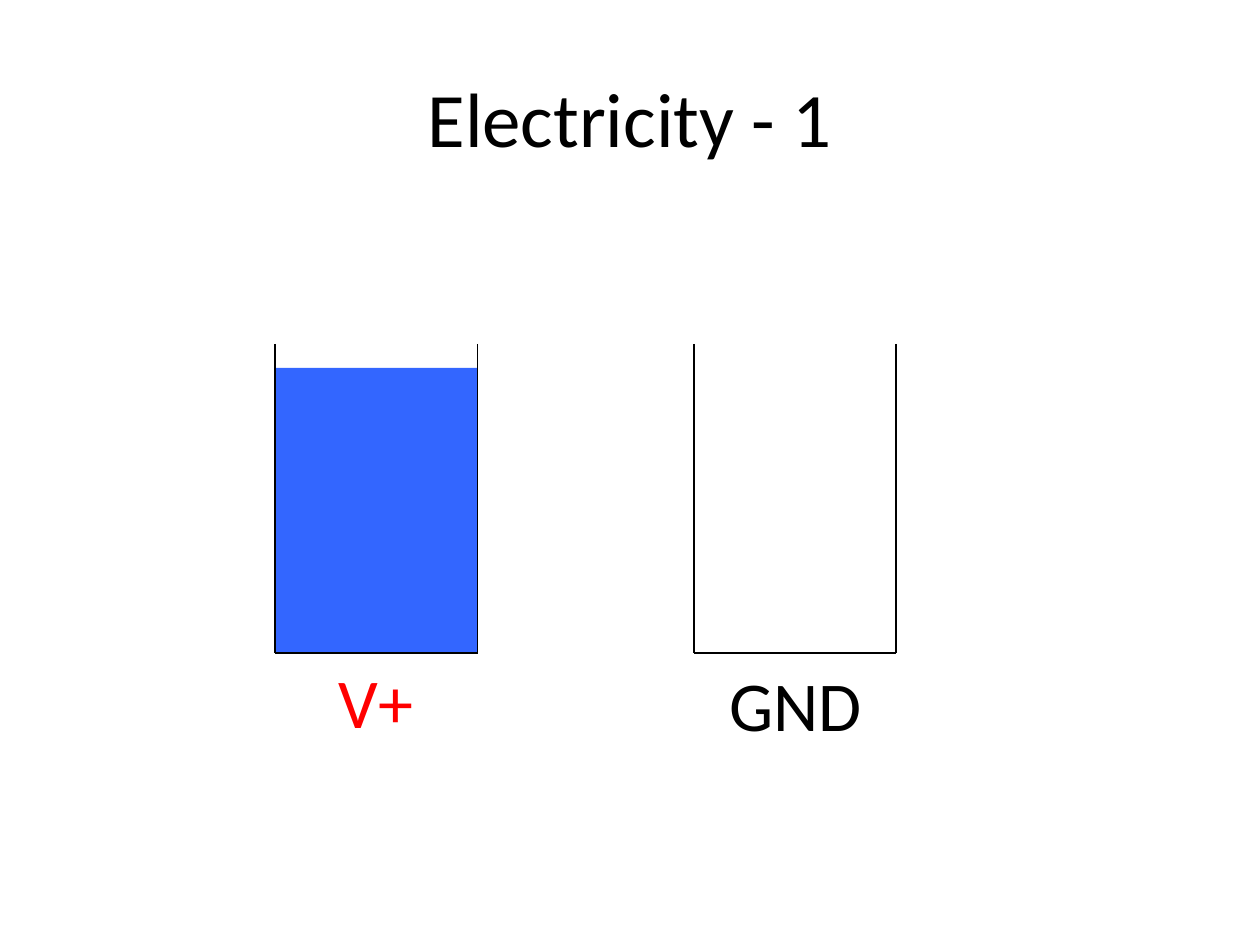
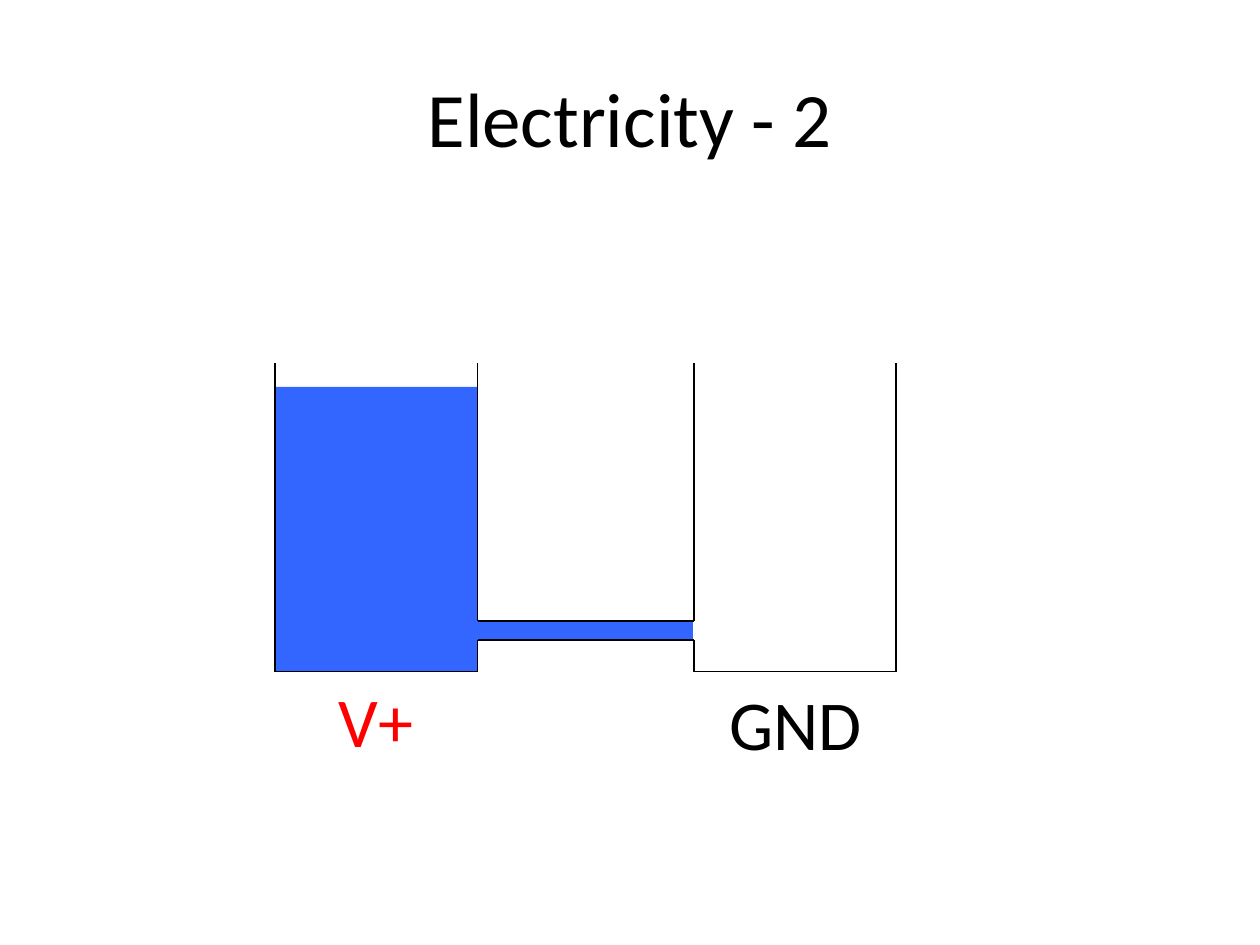
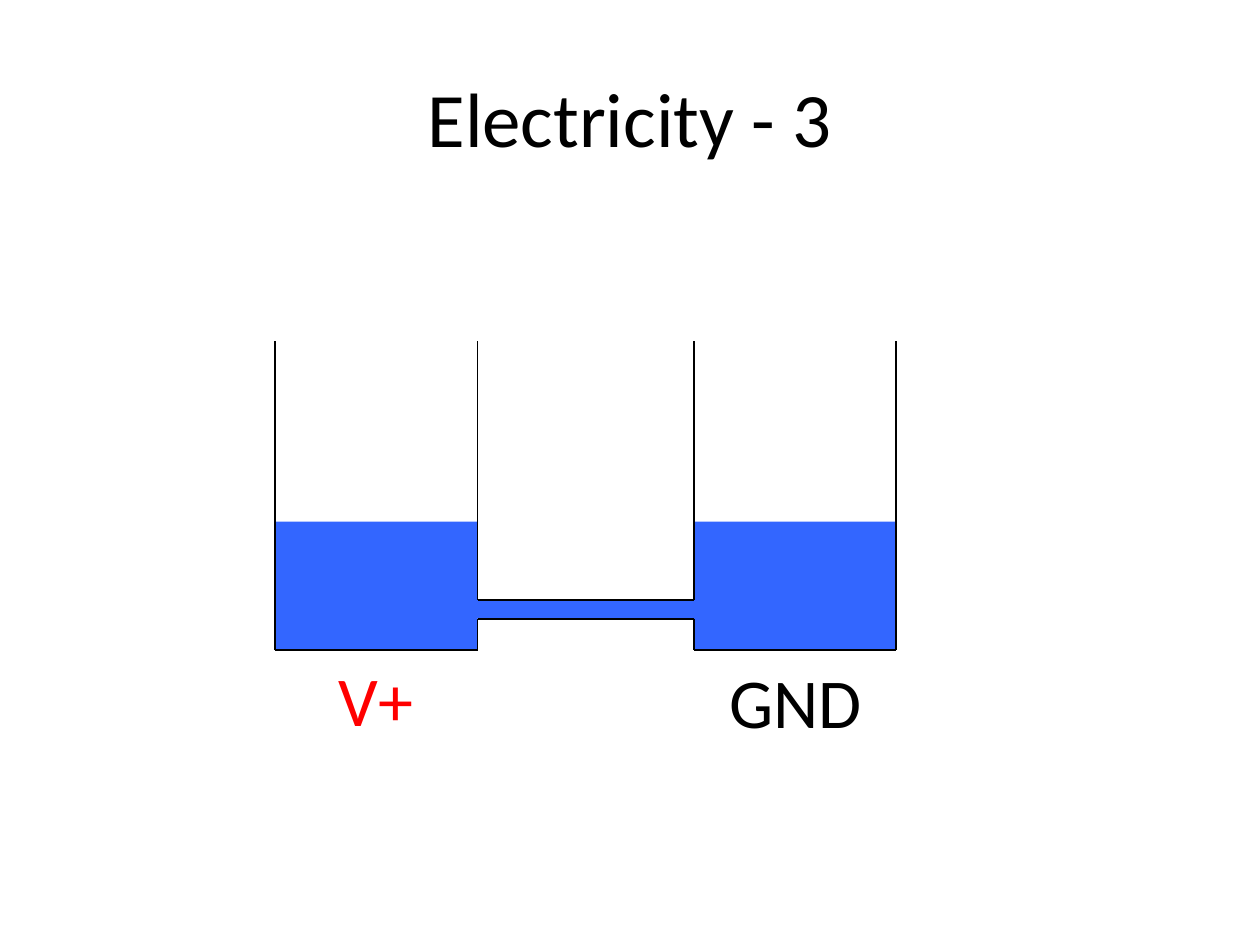
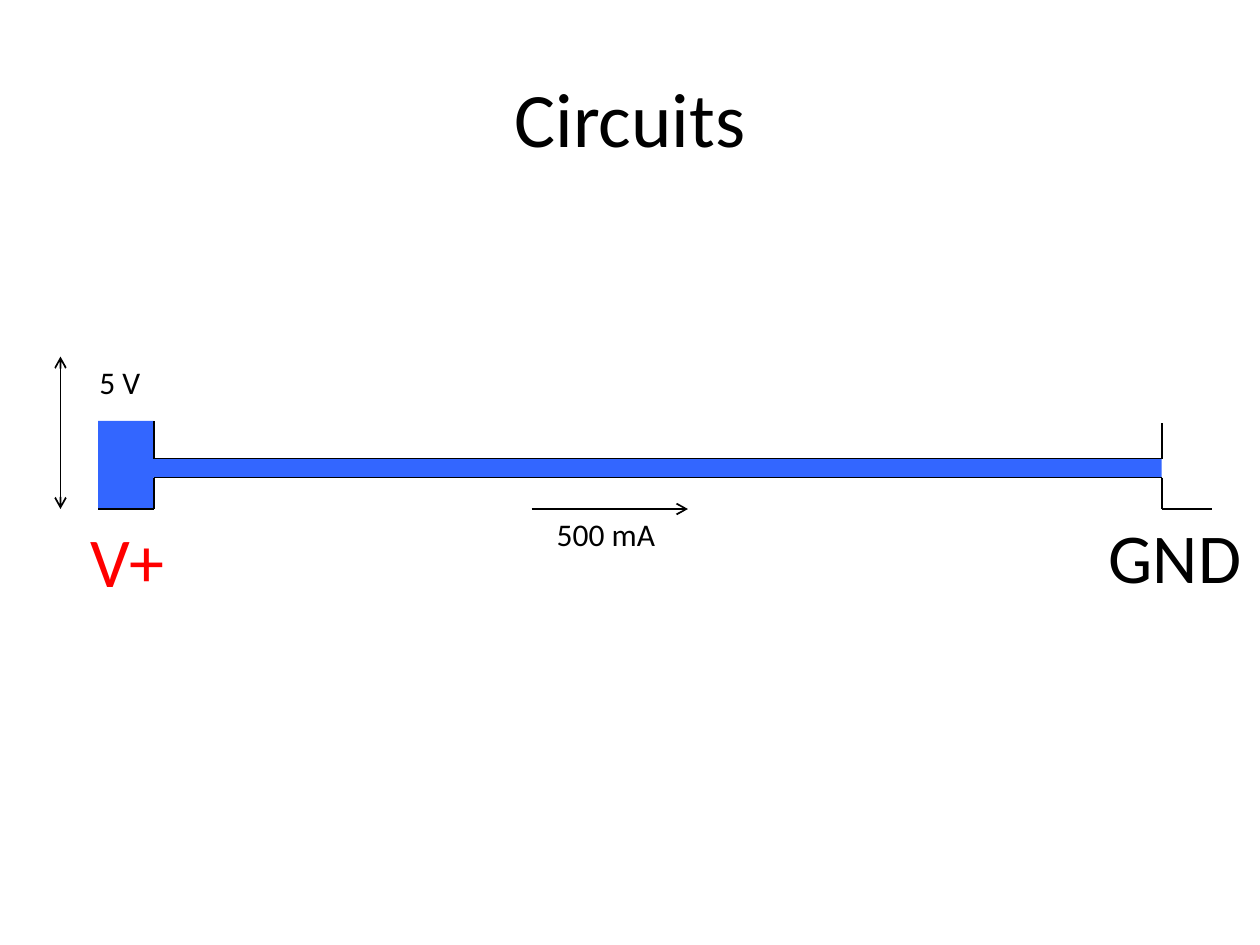
from dataclasses import dataclass

from lxml import etree
from pptx import Presentation
from pptx.dml.color import RGBColor
from pptx.enum.shapes import MSO_CONNECTOR as Connector
from pptx.enum.shapes import MSO_SHAPE as Shape
from pptx.enum.text import MSO_ANCHOR as Anchor
from pptx.enum.text import MSO_AUTO_SIZE as AutoSize
from pptx.enum.text import PP_ALIGN as Align
from pptx.oxml.ns import qn
from pptx.slide import Slide
from pptx.text.text import TextFrame
from pptx.util import Inches, Pt


@dataclass(frozen=True)
class Theme:
    font: str = "Calibri"
    ink: RGBColor = RGBColor(0x00, 0x00, 0x00)
    paper: RGBColor = RGBColor(0xFF, 0xFF, 0xFF)
    water: RGBColor = RGBColor(0x33, 0x66, 0xFF)
    supply: RGBColor = RGBColor(0xFF, 0x00, 0x00)
    title_size: int = 44
    label_size: int = 40
    note_size: int = 18
    line_width: float = 1


@dataclass(frozen=True)
class Tank:
    left: float
    right: float


@dataclass(frozen=True)
class Stage:
    """One step of the two-tank story; water depths are above the floor."""
    title: str
    floor: float
    supply_depth: float
    ground_depth: float = 0
    pipe_end: float = 0  # right end of the water in the pipe, 0 for no pipe


THEME = Theme()
SUPPLY = Tank(2.18, 3.79)
GROUND = Tank(5.51, 7.11)
TANK_HEIGHT = 2.45
PIPE_START = 3.21
PIPE_RISE = 0.25  # underside of the pipe above the floor
PIPE_BORE = 0.15
LABEL_HEIGHT = 0.77
NOTE_HEIGHT = 0.4

STAGES = [
    Stage("Electricity - 1", 5.18, supply_depth=2.26),
    Stage("Electricity - 2", 5.33, supply_depth=2.26, pipe_end=5.5),
    Stage("Electricity - 3", 5.16, supply_depth=1.02, ground_depth=1.02, pipe_end=6.08),
]


# Basic parts
def write(frame: TextFrame, text: str, size: int, color: RGBColor, align: Align) -> None:
    para = frame.paragraphs[0]
    para.alignment = align
    span = para.add_run()
    span.text = text
    span.font.name = THEME.font
    span.font.size = Pt(size)
    span.font.color.rgb = color


def add_page(deck: Presentation, title: str) -> Slide:
    page = deck.slides.add_slide(deck.slide_layouts[5])
    page.background.fill.solid()
    page.background.fill.fore_color.rgb = THEME.paper
    box = page.shapes.title
    box.left, box.top = Inches(0.5), Inches(0.3)
    box.width, box.height = Inches(9), Inches(1.25)
    box.text_frame.vertical_anchor = Anchor.MIDDLE
    write(box.text_frame, title, THEME.title_size, THEME.ink, Align.CENTER)
    return page


def add_water(page: Slide, left: float, top: float, right: float, bottom: float) -> None:
    water = page.shapes.add_shape(
        Shape.RECTANGLE, Inches(left), Inches(top), Inches(right - left), Inches(bottom - top))
    water.shadow.inherit = False
    water.fill.solid()
    water.fill.fore_color.rgb = THEME.water
    water.line.fill.background()


def add_line(page: Slide, x1: float, y1: float, x2: float, y2: float,
             arrows: tuple[str, ...] = ()) -> None:
    """Draw a line; arrows names its ends, headEnd before tailEnd."""
    line = page.shapes.add_connector(
        Connector.STRAIGHT, Inches(x1), Inches(y1), Inches(x2), Inches(y2))
    line.line.color.rgb = THEME.ink
    line.line.width = Pt(THEME.line_width)
    properties = line._element.spPr
    for end in arrows:
        etree.SubElement(properties.find(qn("a:ln")), qn(f"a:{end}"), type="arrow")
    etree.SubElement(properties, qn("a:effectLst"))


def add_text(page: Slide, text: str, left: float, top: float, width: float, height: float,
             size: int, color: RGBColor, align: Align, wrap: bool) -> None:
    box = page.shapes.add_textbox(Inches(left), Inches(top), Inches(width), Inches(height))
    box.text_frame.word_wrap = wrap
    box.text_frame.auto_size = AutoSize.SHAPE_TO_FIT_TEXT
    write(box.text_frame, text, size, color, align)


def add_label(page: Slide, text: str, left: float, top: float, width: float,
              color: RGBColor) -> None:
    add_text(page, text, left, top, width, LABEL_HEIGHT,
             THEME.label_size, color, Align.CENTER, wrap=True)


def add_note(page: Slide, text: str, left: float, top: float, width: float) -> None:
    add_text(page, text, left, top, width, NOTE_HEIGHT,
             THEME.note_size, THEME.ink, Align.LEFT, wrap=False)


# Tanks and pipes
def pipe_edges(floor: float) -> tuple[float, float]:
    bottom = floor - PIPE_RISE
    return bottom - PIPE_BORE, bottom


def add_open_wall(page: Slide, x: float, top: float, floor: float) -> None:
    """Draw a wall with an opening where the pipe meets it."""
    pipe_top, pipe_bottom = pipe_edges(floor)
    add_line(page, x, top, x, pipe_top)
    add_line(page, x, pipe_bottom, x, floor)


def add_pipe_walls(page: Slide, left: float, right: float, floor: float) -> None:
    for y in pipe_edges(floor):
        add_line(page, left, y, right, y)


def add_stage(deck: Presentation, stage: Stage) -> None:
    page = add_page(deck, stage.title)
    floor = stage.floor
    top = floor - TANK_HEIGHT

    # Water, behind the walls
    if stage.pipe_end:
        pipe_top, pipe_bottom = pipe_edges(floor)
        add_water(page, PIPE_START, pipe_top, stage.pipe_end, pipe_bottom)
    for tank, depth in ((SUPPLY, stage.supply_depth), (GROUND, stage.ground_depth)):
        if depth:
            add_water(page, tank.left, floor - depth, tank.right, floor)

    # Walls and floors
    for tank in (SUPPLY, GROUND):
        add_line(page, tank.left, floor, tank.right, floor)
    for x in (SUPPLY.left, GROUND.right):
        add_line(page, x, top, x, floor)
    for x in (SUPPLY.right, GROUND.left):
        if stage.pipe_end:
            add_open_wall(page, x, top, floor)
        else:
            add_line(page, x, top, x, floor)
    if stage.pipe_end:
        add_pipe_walls(page, SUPPLY.right, GROUND.left, floor)

    # Labels
    add_label(page, "V+", SUPPLY.left, floor, 1.61, THEME.supply)
    add_label(page, "GND", 5.52, floor + 0.02, 1.59, THEME.ink)


def add_circuit(deck: Presentation) -> None:
    page = add_page(deck, "Circuits")
    floor = 4.04
    supply, ground = Tank(0.78, 1.22), Tank(9.22, 9.62)
    supply_top, ground_top = 3.34, 3.36
    pipe_top, pipe_bottom = pipe_edges(floor)

    # Water
    add_water(page, supply.left, supply_top, supply.right, floor)
    add_water(page, supply.left, pipe_top, ground.left, pipe_bottom)

    # Walls and floors
    for tank in (supply, ground):
        add_line(page, tank.left, floor, tank.right, floor)
    add_open_wall(page, supply.right, supply_top, floor)
    add_open_wall(page, ground.left, ground_top, floor)
    add_pipe_walls(page, supply.right, ground.left, floor)

    # Current and voltage
    add_line(page, 4.22, floor, 5.46, floor, ("tailEnd",))
    add_note(page, "500 mA", 4.32, floor, 0.99)
    add_line(page, 0.48, 2.83, 0.48, floor, ("headEnd", "tailEnd"))
    add_note(page, "5 V", 0.69, 2.83, 0.53)

    # Labels
    add_label(page, "V+", 0.37, 4.06, 1.28, THEME.supply)
    add_label(page, "GND", 8.53, 4.03, 1.59, THEME.ink)


def main() -> None:
    deck = Presentation()
    deck.slide_width, deck.slide_height = Inches(10), Inches(7.5)
    for stage in STAGES:
        add_stage(deck, stage)
    add_circuit(deck)
    deck.save("out.pptx")


if __name__ == "__main__":
    main()
